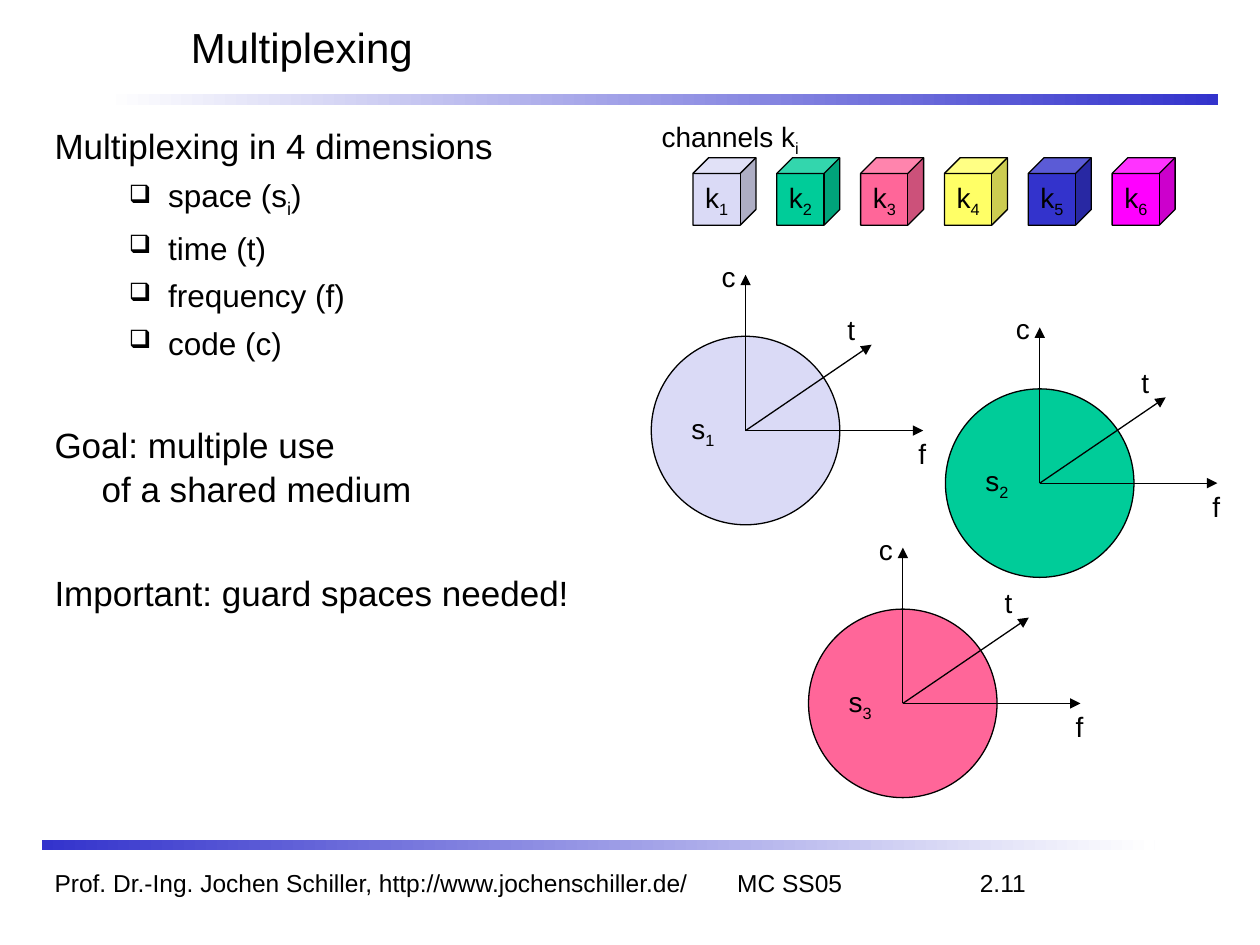
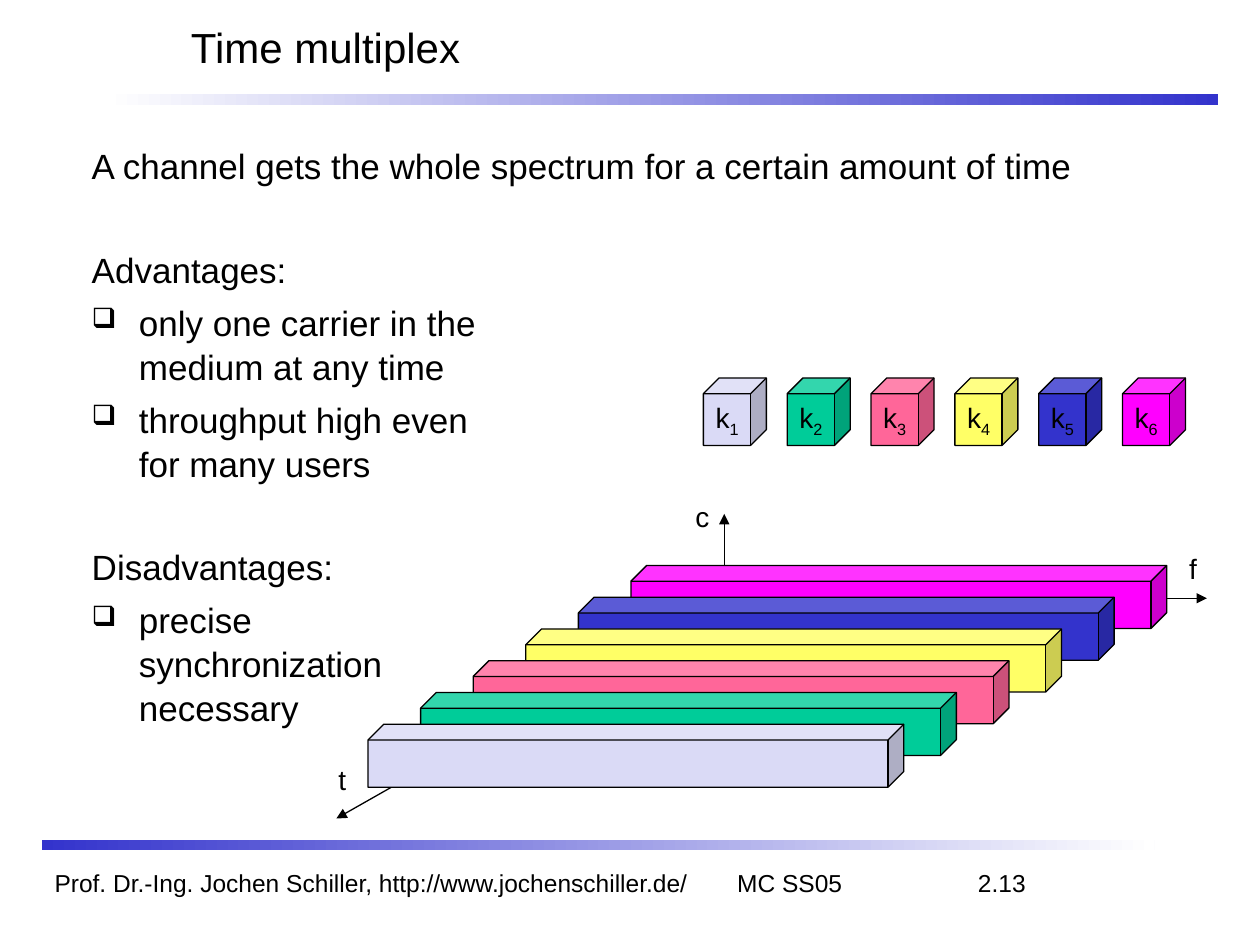
"""Build two lecture slides on multiplexing."""
from lxml import etree
from pptx import Presentation
from pptx.dml.color import RGBColor
from pptx.enum.shapes import MSO_CONNECTOR, MSO_SHAPE
from pptx.enum.text import MSO_ANCHOR, PP_ALIGN
from pptx.oxml.ns import qn
from pptx.util import Cm, Pt

LEFT, CENTER = PP_ALIGN.LEFT, PP_ALIGN.CENTER
TOP, MIDDLE = MSO_ANCHOR.TOP, MSO_ANCHOR.MIDDLE
RECT, OVAL, CUBE = MSO_SHAPE.RECTANGLE, MSO_SHAPE.OVAL, MSO_SHAPE.CUBE
STRAIGHT = MSO_CONNECTOR.STRAIGHT

FONT = "Arial"
COLORS = {"ink": "000000", "paper": "FFFFFF", "lilac": "DADAF6", "green": "00CC99",
          "pink": "FF6699", "yellow": "FFFF66", "blue": "3333CC", "magenta": "FF00FF"}
CHANNELS = ["lilac", "green", "pink", "yellow", "blue", "magenta"]

BANDS = [((2.12, 1.9), ("paper", "blue")), ((0.85, 16.93), ("blue", "paper"))]
FOOTER = "Prof. Dr.-Ing. Jochen Schiller, http://www.jochenschiller.de/\tMC SS05\t"
TABS = [(13.76, "l"), (19.58, "r")]

STYLES = {
    "plain": {"size": 20, "before": 5, "left": 0.95, "hang": 0.95},
    "apart": {"size": 20, "before": 34, "left": 0.95, "hang": 0.95},
    "item": {"size": 20, "before": 5, "left": 0.95, "hang": 0.95, "bullet": "❑"},
    "sub": {"size": 18, "before": 4.5, "left": 2.29, "hang": 0.79, "bullet": "❑"},
}

DIMS = {
    "title": "Multiplexing", "page": "2.11", "box": (0.85, 2.33, 23.7, 14.4),
    "body": [
        ("plain", "Multiplexing in 4 dimensions"),
        ("sub", "space (s~i~)"),
        ("sub", "time (t)"),
        ("sub", "frequency (f)"),
        ("sub", "code (c)"),
        ("apart", "Goal: multiple use\nof a shared medium"),
        ("apart", "Important: guard spaces needed!"),
    ],
    "cubes": (13.97, 3.18),
    "axes": [("c", (0, -3.14), (-0.34, -3.58)),
             ("t", (2.54, -1.73), (2.13, -2.51)),
             ("f", (3.58, 0), (3.56, 0))],
}
SPACES = [(15.03, 8.68), (20.96, 9.74), (18.2, 14.18)]
RADIUS = 1.9

TIME = {
    "title": "Time multiplex", "page": "2.13", "box": (1.6, 2.75, 22.33, 14.17),
    "body": [
        ("plain", "A channel gets the whole spectrum for a certain amount of time"),
        ("apart", "Advantages:"),
        ("item", "only one carrier in the\nmedium at any time"),
        ("item", "throughput high even\nfor many users"),
        ("apart", "Disadvantages:"),
        ("item", "precise\nsynchronization\nnecessary"),
    ],
    "cubes": (14.18, 7.62),
    "axes": [("t", (-7.82, 4.44), (-7.7, 3.18)),
             ("c", (0, -1.7), (-0.44, -2.11)),
             ("f", (9.73, 0), (9.45, -1.07))],
}
ORIGIN = (14.6, 12.06)
FRONT, SHIFT, BAR = (7.42, 14.6), (1.06, -0.64), (10.8, 1.27)
CUBE_SIZE, CUBE_STEP = (1.27, 1.36), 1.69


def rgb(name):
    return RGBColor.from_string(COLORS[name])


def child(parent, tag, **attrs):
    return etree.SubElement(parent, qn(tag), attrs)


def write(frame, text, size=16, align=LEFT, anchor=TOP, side=0.25, first=True,
          before=0, left=0, hang=0, bullet=None, tabs=(), leading=None):
    frame.word_wrap = True
    frame.vertical_anchor = anchor
    frame.margin_left = frame.margin_right = Cm(side)
    frame.margin_top = frame.margin_bottom = Cm(0.13)
    para = frame.paragraphs[0] if first else frame.add_paragraph()
    props = para._p.get_or_add_pPr()
    if left:
        props.set("marL", str(Cm(left)))
        props.set("indent", str(-Cm(hang)))
    if bullet:
        child(child(props, "a:buClr"), "a:srgbClr", val=COLORS["ink"])
        child(props, "a:buSzPct", val="80000")
        child(props, "a:buChar", char=bullet)
    if tabs:
        stops = child(props, "a:tabLst")
        for place, kind in tabs:
            child(stops, "a:tab", pos=str(Cm(place)), algn=kind)
    para.alignment = align
    if leading:
        para.line_spacing = leading
    if before and not first:
        para.space_before = Pt(before)
    for row, line in enumerate(text.split("\n")):
        if row:
            para.add_line_break()
        for i, part in enumerate(line.split("~")):
            if not part:
                continue
            run = para.add_run()
            run.text = part
            run.font.name, run.font.size = FONT, Pt(size)
            run.font.color.rgb = rgb("ink")
            if i % 2:
                run._r.get_or_add_rPr().set("baseline", "-25000")


def add_text(slide, box, text, **form):
    write(slide.shapes.add_textbox(*map(Cm, box)).text_frame, text, **form)


def add_form(slide, kind, box, fill, text="", **form):
    shape = slide.shapes.add_shape(kind, *map(Cm, box))
    shape.shadow.inherit = False
    shape.fill.solid()
    shape.fill.fore_color.rgb = rgb(fill)
    shape.line.color.rgb = rgb("ink")
    shape.line.width = Pt(0.75)
    if text:
        write(shape.text_frame, text, anchor=MIDDLE, **form)


def add_band(slide, spot, ends):
    band = slide.shapes.add_shape(RECT, *map(Cm, (*spot, 22.43, 0.21)))
    band.shadow.inherit = False
    band.line.fill.background()
    band.fill.gradient()
    band.fill.gradient_angle = 0
    for stop, name in zip(band.fill.gradient_stops, ends):
        stop.color.rgb = rgb(name)


def add_axes(slide, origin, axes):
    x, y = origin
    for name, (dx, dy), (tx, ty) in axes:
        line = slide.shapes.add_connector(STRAIGHT, *map(Cm, (x, y, x + dx, y + dy)))
        line.line.color.rgb = rgb("ink")
        line.line.width = Pt(0.75)
        child(line.line._get_or_add_ln(), "a:tailEnd", type="triangle")
        child(line._element.spPr, "a:effectLst")
        add_text(slide, (x + tx - 0.4, y + ty, 0.8, 0.94), name, align=CENTER, side=0)


def add_cubes(slide, spot):
    x, y = spot
    for i, fill in enumerate(CHANNELS):
        add_form(slide, CUBE, (x + i * CUBE_STEP, y, *CUBE_SIZE), fill,
                 f"k~{i + 1}~", align=CENTER, side=0)


def add_page(deck, data):
    slide = deck.slides.add_slide(deck.slide_layouts[5])
    for spot, ends in BANDS:
        add_band(slide, spot, ends)
    title = slide.shapes.title
    title.left, title.top, title.width, title.height = map(Cm, (3.6, 0, 21.39, 1.9))
    write(title.text_frame, data["title"], size=24, anchor=MIDDLE)
    add_text(slide, (0.85, 17.36, 22.23, 0.85), FOOTER + data["page"], size=14, tabs=TABS)
    frame = slide.shapes.add_textbox(*map(Cm, data["box"])).text_frame
    for i, (style, text) in enumerate(data["body"]):
        write(frame, text, first=i == 0, leading=1.05, **STYLES[style])
    add_cubes(slide, data["cubes"])
    return slide


def main():
    deck = Presentation()
    deck.slide_width, deck.slide_height = Cm(25.4), Cm(19.05)

    slide = add_page(deck, DIMS)
    add_text(slide, (13.08, 2.29, 3.28, 1.04), "channels k~i~", align=CENTER, side=0)
    for i, (x, y) in enumerate(SPACES):
        box = (x - RADIUS, y - RADIUS, 2 * RADIUS, 2 * RADIUS)
        add_form(slide, OVAL, box, CHANNELS[i], f"s~{i + 1}~")
        add_axes(slide, (x, y), DIMS["axes"])

    slide = add_page(deck, TIME)
    add_axes(slide, ORIGIN, TIME["axes"])
    for i, fill in reversed(list(enumerate(CHANNELS))):
        spot = [start + i * step for start, step in zip(FRONT, SHIFT)]
        add_form(slide, CUBE, (*spot, *BAR), fill)

    deck.save("out.pptx")


if __name__ == "__main__":
    main()
